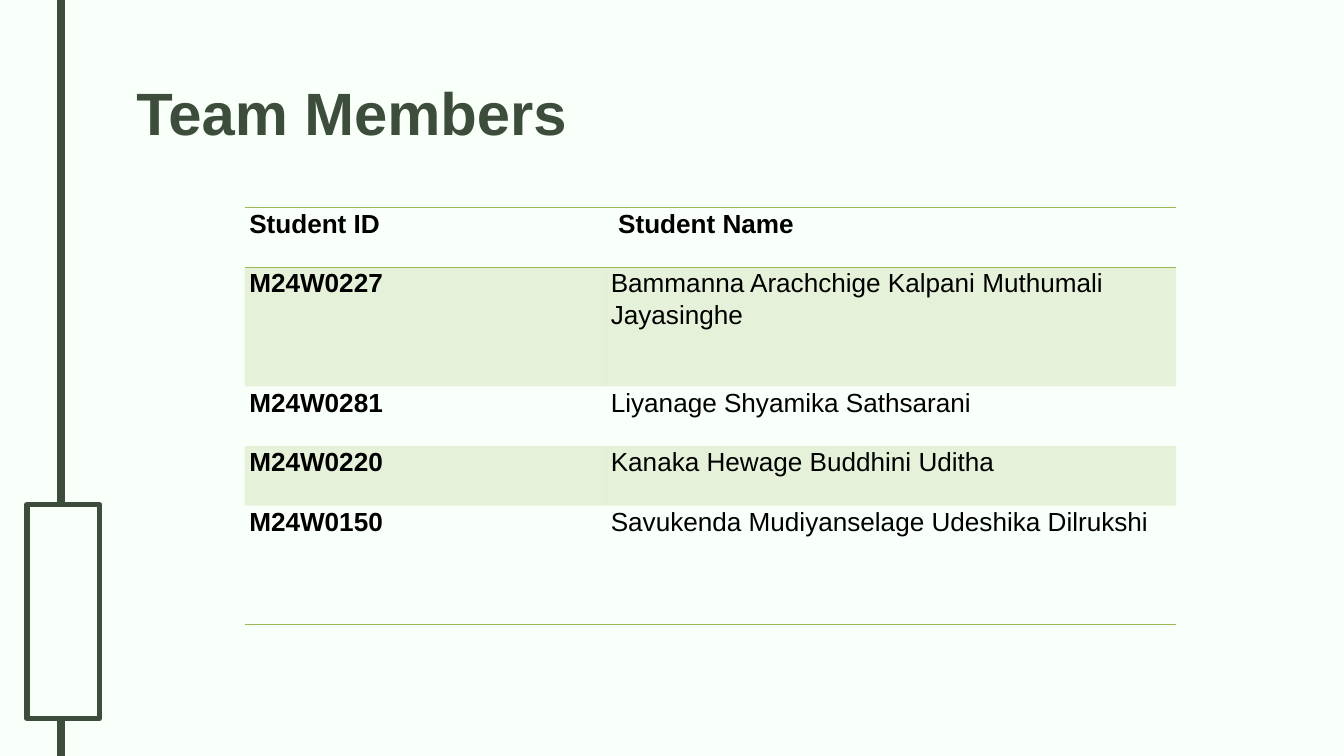
from lxml.etree import SubElement
from pptx import Presentation
from pptx.dml.color import RGBColor as RGB
from pptx.enum.shapes import MSO_CONNECTOR as CONNECTOR, MSO_SHAPE as SHAPE
from pptx.oxml import parse_xml
from pptx.oxml.ns import nsdecls, qn
from pptx.util import Inches, Pt

COLORS = {"bg": "F9FFF9", "dark": "3D4D3B", "green": "9BBB59", "black": "000000"}
NO_STYLE = "{2D5ABB26-0587-4C30-8999-92F81FD0307C}"
MEMBERS = [
    ("Student ID", "Student Name"),
    ("M24W0227", "Bammanna Arachchige Kalpani Muthumali Jayasinghe"),
    ("M24W0281", "Liyanage Shyamika Sathsarani"),
    ("M24W0220", "Kanaka Hewage Buddhini Uditha"),
    ("M24W0150", "Savukenda Mudiyanselage Udeshika Dilrukshi"),
]
COL_WIDTHS = [5.38, 8.48]
ROW = 0.887
ROW_SPANS = [1, 2, 1, 1, 2]


def write(tf, text, size=28, color="black", bold=False, spacing=1.07):
    p = tf.paragraphs[0]
    p.line_spacing = spacing
    r = p.add_run()
    r.text = text
    r.font.name, r.font.size, r.font.bold = "Arial", Pt(size), bold
    r.font.color.rgb = RGB.from_string(COLORS[color])


def add_border(cell, side):
    """Draw a thin green rule on side "T" or "B"; call before filling the cell."""
    cell._tc.get_or_add_tcPr().append(parse_xml(
        f'<a:ln{side} {nsdecls("a")} w="{Pt(1)}"><a:solidFill>'
        f'<a:srgbClr val="{COLORS["green"]}"/></a:solidFill></a:ln{side}>'))


prs = Presentation()
prs.slide_width, prs.slide_height = Inches(20), Inches(11.25)
s = prs.slides.add_slide(prs.slide_layouts[6])
s.background.fill.solid()
s.background.fill.fore_color.rgb = RGB.from_string(COLORS["bg"])

# Vertical bar with a frame across it
bar_x = Inches(0.91)
bar = s.shapes.add_connector(CONNECTOR.STRAIGHT, bar_x, prs.slide_height, bar_x, 0)
SubElement(bar._element.spPr, qn("a:effectLst"))
frame = s.shapes.add_shape(SHAPE.RECTANGLE, Inches(0.4), Inches(7.51), Inches(1.08), Inches(3.18))
frame.shadow.inherit = False
frame.fill.solid()
frame.fill.fore_color.rgb = RGB.from_string(COLORS["bg"])
for sp, width in ((bar, 8), (frame, 6)):
    sp.line.color.rgb = RGB.from_string(COLORS["dark"])
    sp.line.width = Pt(width)

# Title
title = s.shapes.add_textbox(Inches(2.03), Inches(0.91), Inches(10.58), Inches(1.29))
tf = title.text_frame
tf.word_wrap = True
tf.margin_left = tf.margin_right = tf.margin_top = tf.margin_bottom = 0
write(tf, "Team Members", size=64, color="dark", bold=True, spacing=1.2)

# Member table
table = s.shapes.add_table(
    len(MEMBERS), len(COL_WIDTHS), Inches(3.64), Inches(3.09),
    Inches(sum(COL_WIDTHS)), Inches(ROW * sum(ROW_SPANS))).table
table._tbl.tblPr.find(qn("a:tableStyleId")).text = NO_STYLE
table.first_row = table.horz_banding = False
for column, width in zip(table.columns, COL_WIDTHS):
    column.width = Inches(width)

for i, (member, span) in enumerate(zip(MEMBERS, ROW_SPANS)):
    table.rows[i].height = Inches(ROW * span)
    for j, text in enumerate(member):
        cell = table.cell(i, j)
        cell.margin_left = cell.margin_right = Inches(0.07)
        cell.margin_top = cell.margin_bottom = 0
        if i == 0:
            add_border(cell, "T")
        if i in (0, len(MEMBERS) - 1):
            add_border(cell, "B")
        if i % 2:
            cell.fill.solid()
            cell.fill.fore_color.rgb = RGB.from_string(COLORS["green"])
            tint = cell._tc.tcPr.find(qn("a:solidFill"))[0]
            SubElement(tint, qn("a:alpha"), val="20000")
        else:
            cell.fill.background()
        write(cell.text_frame, text, bold=i == 0 or j == 0)
table.cell(0, 1).margin_left = Inches(0.18)

prs.save("out.pptx")
